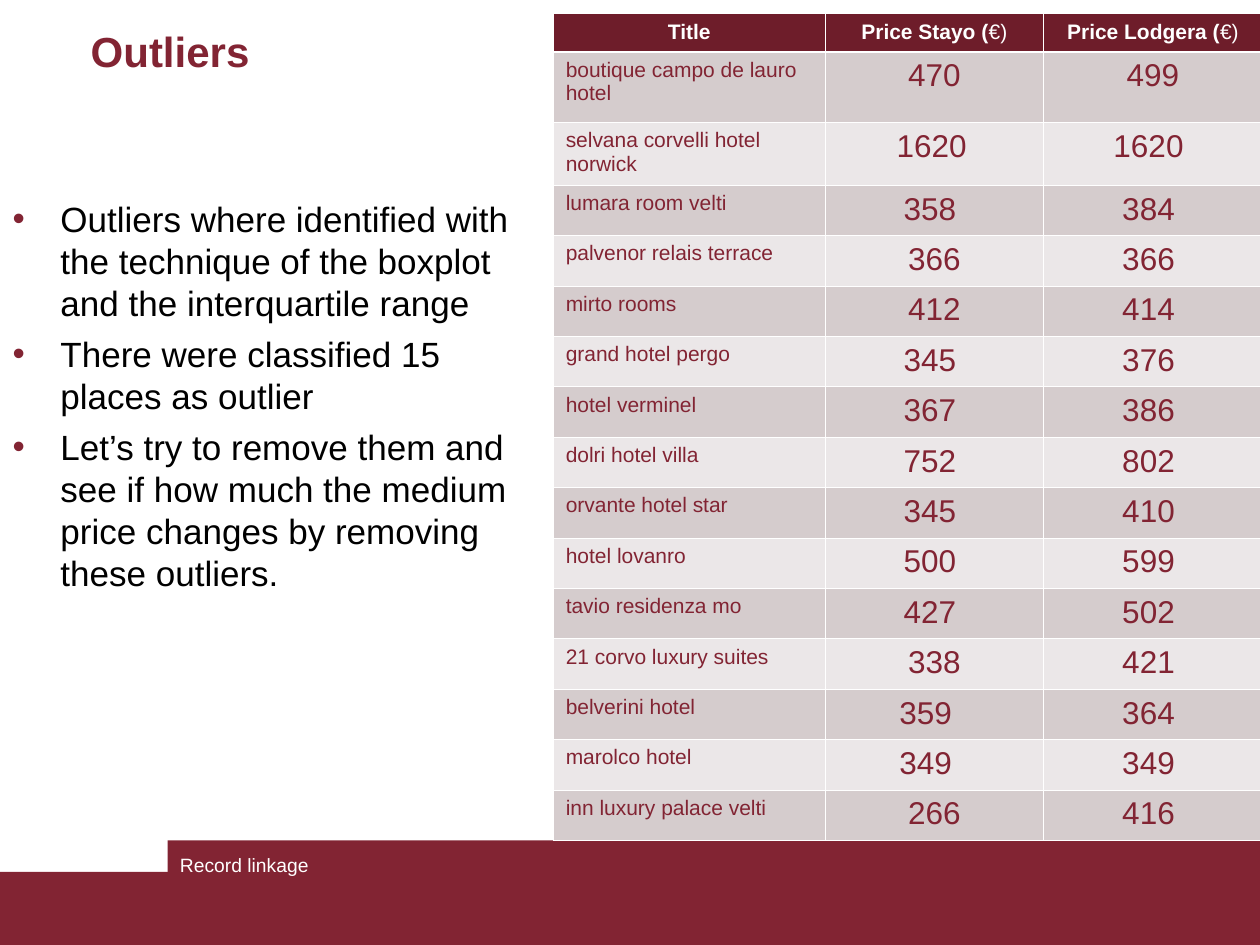
import pptx
import pptx.dml.color
import pptx.enum.shapes
import pptx.enum.text
import pptx.oxml
import pptx.oxml.ns
import pptx.util

Inches = pptx.util.Inches
Pt = pptx.util.Pt
ALIGN = pptx.enum.text.PP_ALIGN
ANCHOR = pptx.enum.text.MSO_ANCHOR

MAROON, HEADER, WHITE, BLACK = "822433", "6E1D2A", "FFFFFF", "000000"
ROW_FILLS = ("D5CCCD", "EBE7E8")
BULLETS = (
    "Outliers where identified with the technique of the boxplot and the interquartile range",
    "There were classified 15 places as outlier",
    "Let’s try to remove them and see if how much the medium price changes by removing these outliers.",
)
HEADINGS = (("Title",), ("Price Stayo (", "€)"), ("Price Lodgera (", "€)"))
HOTELS = (
    ("boutique campo de lauro hotel", 470, 499, 0, 0),
    ("selvana corvelli hotel norwick", 1620, 1620, 3, 5),
    ("lumara room velti", 358, 384, 5, 5),
    ("palvenor relais terrace", 366, 366, 0, 5),
    ("mirto rooms", 412, 414, 0, 5),
    ("grand hotel pergo", 345, 376, 5, 5),
    ("hotel verminel", 367, 386, 5, 5),
    ("dolri hotel villa", 752, 802, 5, 5),
    ("orvante hotel star", 345, 410, 5, 5),
    ("hotel lovanro", 500, 599, 5, 5),
    ("tavio residenza mo", 427, 502, 5, 5),
    ("21 corvo luxury suites", 338, 421, 0, 5),
    ("belverini hotel", 359, 364, 10, 5),
    ("marolco hotel", 349, 349, 10, 5),
    ("inn luxury palace velti", 266, 416, 0, 5),
)
COLUMN_WIDTHS = (2.16, 1.73, 1.74)
ROW_HEIGHTS = (0.3, 0.56, 0.5) + (0.4,) * 13


def rgb(value):
    """Turn a hex string into a colour."""
    return pptx.dml.color.RGBColor.from_string(value)


def add_run(paragraph, text, size, color, bold=False):
    """Append one formatted run to a paragraph."""
    run = paragraph.add_run()
    run.text = text
    run.font.name = "Arial"
    run.font.size = Pt(size)
    run.font.bold = bold
    run.font.color.rgb = rgb(color)


def place(part, left, top, width, height):
    """Move and size a placeholder."""
    part.left, part.top = Inches(left), Inches(top)
    part.width, part.height = Inches(width), Inches(height)


def add_band(slide, left, top):
    """Draw a footer band reaching the slide's lower right corner."""
    band = slide.shapes.add_shape(
        pptx.enum.shapes.MSO_SHAPE.RECTANGLE,
        Inches(left), Inches(top), Inches(10 - left), Inches(7.5 - top))
    band.shadow.inherit = False
    band.fill.solid()
    band.fill.fore_color.rgb = rgb(MAROON)
    band.line.fill.background()


def fill_title(title):
    """Write the slide title."""
    place(title, 0.62, 0.13, 8.27, 0.55)
    frame = title.text_frame
    frame.auto_size = pptx.enum.text.MSO_AUTO_SIZE.NONE
    frame.vertical_anchor = ANCHOR.MIDDLE
    heading = frame.paragraphs[0]
    heading.alignment = ALIGN.LEFT
    add_run(heading, "Outliers", 24, MAROON, True)


def add_bullet(paragraph):
    """Give a paragraph a hanging maroon bullet."""
    properties = paragraph._p.get_or_add_pPr()
    properties.set("marL", str(Inches(0.38)))
    properties.set("indent", str(-Inches(0.38)))
    namespace = pptx.oxml.ns.nsdecls("a")
    for xml in (f'<a:buClr {namespace}><a:srgbClr val="{MAROON}"/></a:buClr>',
                f'<a:buFont {namespace} typeface="Arial"/>',
                f'<a:buChar {namespace} char="•"/>'):
        properties.append(pptx.oxml.parse_xml(xml))


def fill_body(body):
    """Write the bulleted findings."""
    place(body, 0, 0.71, 4.39, 5.43)
    frame = body.text_frame
    frame.auto_size = pptx.enum.text.MSO_AUTO_SIZE.NONE
    frame.vertical_anchor = ANCHOR.TOP
    frame.margin_top = Inches(0.86)
    for index, finding in enumerate(BULLETS):
        paragraph = frame.add_paragraph() if index else frame.paragraphs[0]
        add_bullet(paragraph)
        paragraph.space_before = Pt(5 if index else 0)
        paragraph.line_spacing = Pt(24)
        add_run(paragraph, finding, 20, BLACK)


def set_borders(cell, top, bottom):
    """Draw white cell borders with the given top and bottom widths."""
    properties = cell._tc.get_or_add_tcPr()
    widths = (("lnL", 0.45), ("lnR", 0.45), ("lnT", top), ("lnB", bottom))
    for position, (side, width) in enumerate(widths):
        properties.insert(position, pptx.oxml.parse_xml(
            f'<a:{side} {pptx.oxml.ns.nsdecls("a")} w="{Pt(width)}">'
            f'<a:solidFill><a:srgbClr val="{WHITE}"/></a:solidFill></a:{side}>'))


def fill_cell(cell, texts, size, color, fill, centred, pad=0):
    """Write runs into a table cell; the first of two runs is bold in headings."""
    is_heading = fill == HEADER
    cell.fill.solid()
    cell.fill.fore_color.rgb = rgb(fill)
    cell.margin_right = Inches(0.1) + Pt(pad)
    paragraph = cell.text_frame.paragraphs[0]
    paragraph.alignment = ALIGN.CENTER if centred else ALIGN.LEFT
    for index, text in enumerate(texts):
        add_run(paragraph, text, size, color, is_heading and index == 0)


def add_price_table(slide):
    """Build the table of outlier hotels and their two prices."""
    prices = slide.shapes.add_table(
        len(ROW_HEIGHTS), len(COLUMN_WIDTHS), Inches(4.39), Inches(0.11),
        Inches(sum(COLUMN_WIDTHS)), Inches(sum(ROW_HEIGHTS))).table
    for column, width in zip(prices.columns, COLUMN_WIDTHS):
        column.width = Inches(width)
    for row, height in zip(prices.rows, ROW_HEIGHTS):
        row.height = Inches(height)
    for column, heading in enumerate(HEADINGS):
        fill_cell(prices.cell(0, column), heading, 12, WHITE, HEADER, True)
    for row, (hotel, first, second, first_pad, second_pad) in enumerate(HOTELS, 1):
        fill = ROW_FILLS[(row - 1) % 2]
        fill_cell(prices.cell(row, 0), (hotel,), 12, MAROON, fill, False)
        fill_cell(prices.cell(row, 1), (str(first),), 18, MAROON, fill, True, first_pad)
        fill_cell(prices.cell(row, 2), (str(second),), 18, MAROON, fill, True, second_pad)
    for row in range(len(ROW_HEIGHTS)):
        for column in range(len(COLUMN_WIDTHS)):
            set_borders(prices.cell(row, column),
                        1.47 if row == 1 else 0.45, 1.47 if row == 0 else 0.45)


def add_footer(slide):
    """Write the topic on the footer band."""
    topic = slide.shapes.add_textbox(Inches(1.33), Inches(6.72), Inches(3.17), Inches(0.5))
    topic.text_frame.word_wrap = True
    add_run(topic.text_frame.paragraphs[0], "Record linkage", 11, WHITE)


def main():
    """Build and save the slide."""
    deck = pptx.Presentation()
    deck.slide_width, deck.slide_height = Inches(10), Inches(7.5)
    slide = deck.slides.add_slide(deck.slide_layouts[1])
    add_band(slide, 0, 6.92)
    add_band(slide, 1.33, 6.67)
    fill_title(slide.shapes.title)
    fill_body(slide.placeholders[1])
    add_price_table(slide)
    add_footer(slide)
    deck.save("out.pptx")


if __name__ == "__main__":
    main()
